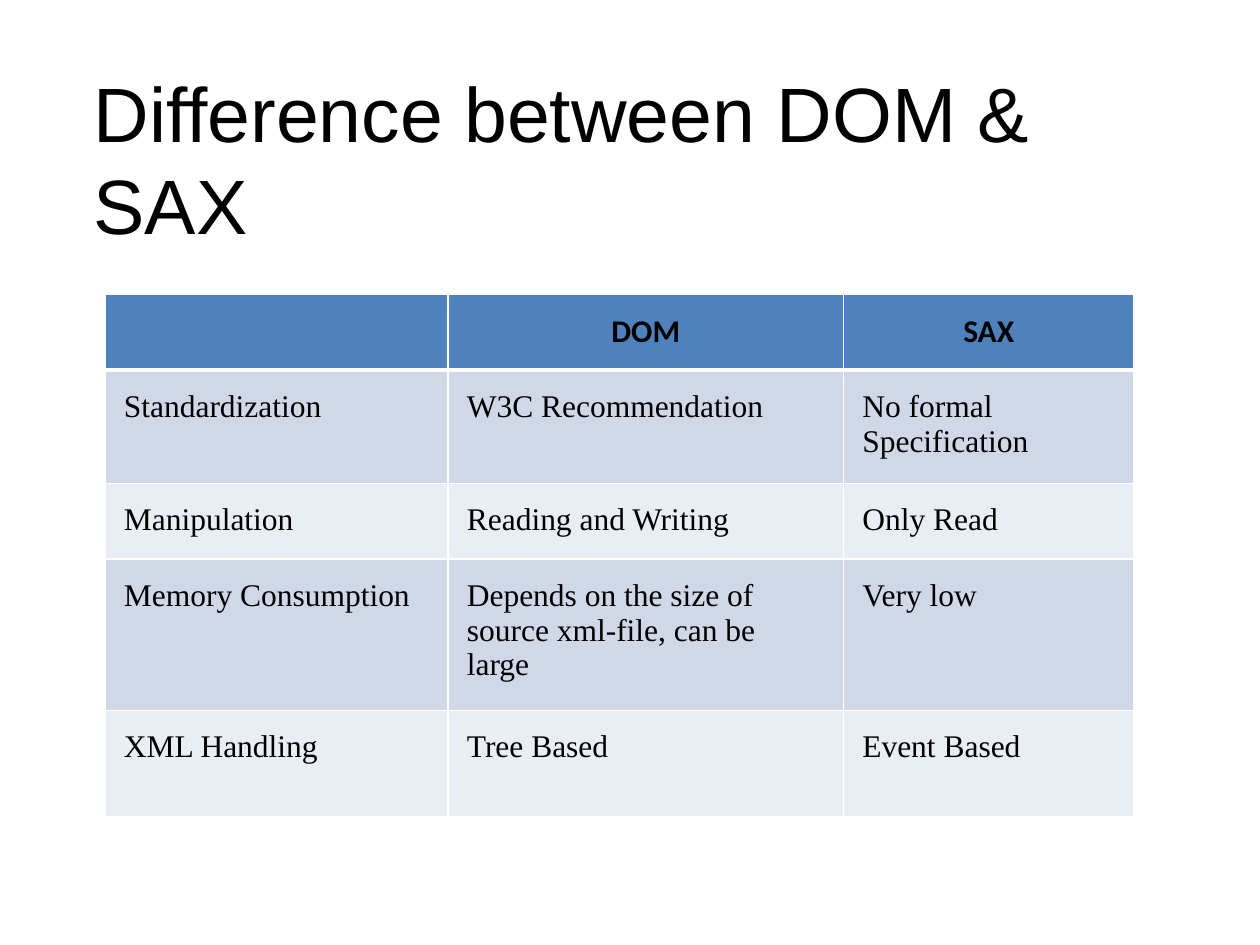
from dataclasses import dataclass

from lxml.etree import SubElement
from pptx import Presentation
from pptx.dml.color import RGBColor
from pptx.enum.text import MSO_ANCHOR, PP_ALIGN
from pptx.oxml.ns import qn
from pptx.slide import Slide
from pptx.table import _Cell
from pptx.util import Pt

COLORS = {
    "text": "000000",
    "border": "FFFFFF",
    "header": "4F81BD",
    "odd_row": "D0D8E8",
    "even_row": "E9EDF4",
}
COLUMN_WIDTHS = (196, 226, 166)
CELL_MARGIN = Pt(10.8)


@dataclass(frozen=True)
class Row:
    height: float
    texts: tuple[str, str, str]


ROWS = (
    Row(43.5, ("", "DOM", "SAX")),
    Row(61.5, ("Standardization", "W3C Recommendation", "No formal Specification")),
    Row(41.5, ("Manipulation", "Reading and Writing", "Only Read")),
    Row(81.5, ("Memory Consumption",
               "Depends on the size of source xml-file, can be large", "Very low")),
    Row(61, ("XML Handling", "Tree Based", "Event Based")),
)


def color(name: str) -> RGBColor:
    return RGBColor.from_string(COLORS[name])


def add_title(slide: Slide, text: str) -> None:
    frame = slide.shapes.add_textbox(Pt(53.5), Pt(37), Pt(559), Pt(106.5)).text_frame
    frame.word_wrap = True
    frame.vertical_anchor = MSO_ANCHOR.MIDDLE
    frame.margin_left = frame.margin_right = frame.margin_top = frame.margin_bottom = 0
    paragraph = frame.paragraphs[0]
    paragraph.text = text
    paragraph.line_spacing = Pt(52.6)
    paragraph.font.name = "Arial"
    paragraph.font.size = Pt(44)
    paragraph.font.color.rgb = color("text")


def set_borders(cell: _Cell, bottom_width: float) -> None:
    """Draw white cell edges; they must precede the fill in the XML."""
    properties = cell._tc.get_or_add_tcPr()
    widths = {"a:lnL": 1, "a:lnR": 1, "a:lnT": 1, "a:lnB": bottom_width}
    for tag, width in widths.items():
        line = SubElement(properties, qn(tag), w=str(Pt(width)))
        fill = SubElement(line, qn("a:solidFill"))
        SubElement(fill, qn("a:srgbClr"), val=COLORS["border"])


def fill_cell(cell: _Cell, text: str, row_index: int) -> None:
    is_header = row_index == 0
    # The first body row shares its top edge with the thick header edge.
    set_borders(cell, 3 if is_header else 1)
    if row_index == 1:
        cell._tc.tcPr.find(qn("a:lnT")).set("w", str(Pt(3)))
    cell.fill.solid()
    row_fill = "header" if is_header else "odd_row" if row_index % 2 else "even_row"
    cell.fill.fore_color.rgb = color(row_fill)
    cell.margin_left = cell.margin_right = CELL_MARGIN
    cell.margin_top = cell.margin_bottom = CELL_MARGIN
    cell.text = text
    paragraph = cell.text_frame.paragraphs[0]
    paragraph.alignment = PP_ALIGN.CENTER if is_header else PP_ALIGN.LEFT
    paragraph.font.name = "Calibri" if is_header else "Times New Roman"
    paragraph.font.size = Pt(18)
    paragraph.font.bold = is_header
    paragraph.font.color.rgb = color("text")


def add_comparison_table(slide: Slide) -> None:
    table = slide.shapes.add_table(
        len(ROWS), len(COLUMN_WIDTHS), Pt(60), Pt(168),
        Pt(sum(COLUMN_WIDTHS)), Pt(sum(row.height for row in ROWS)),
    ).table
    for column, width in zip(table.columns, COLUMN_WIDTHS):
        column.width = Pt(width)
    for row_index, row in enumerate(ROWS):
        table.rows[row_index].height = Pt(row.height)
        for column_index, text in enumerate(row.texts):
            fill_cell(table.cell(row_index, column_index), text, row_index)


def main() -> None:
    presentation = Presentation()
    presentation.slide_width = Pt(720)
    presentation.slide_height = Pt(540)
    slide = presentation.slides.add_slide(presentation.slide_layouts[6])
    add_title(slide, "Difference between DOM & SAX")
    add_comparison_table(slide)
    presentation.save("out.pptx")


if __name__ == "__main__":
    main()
